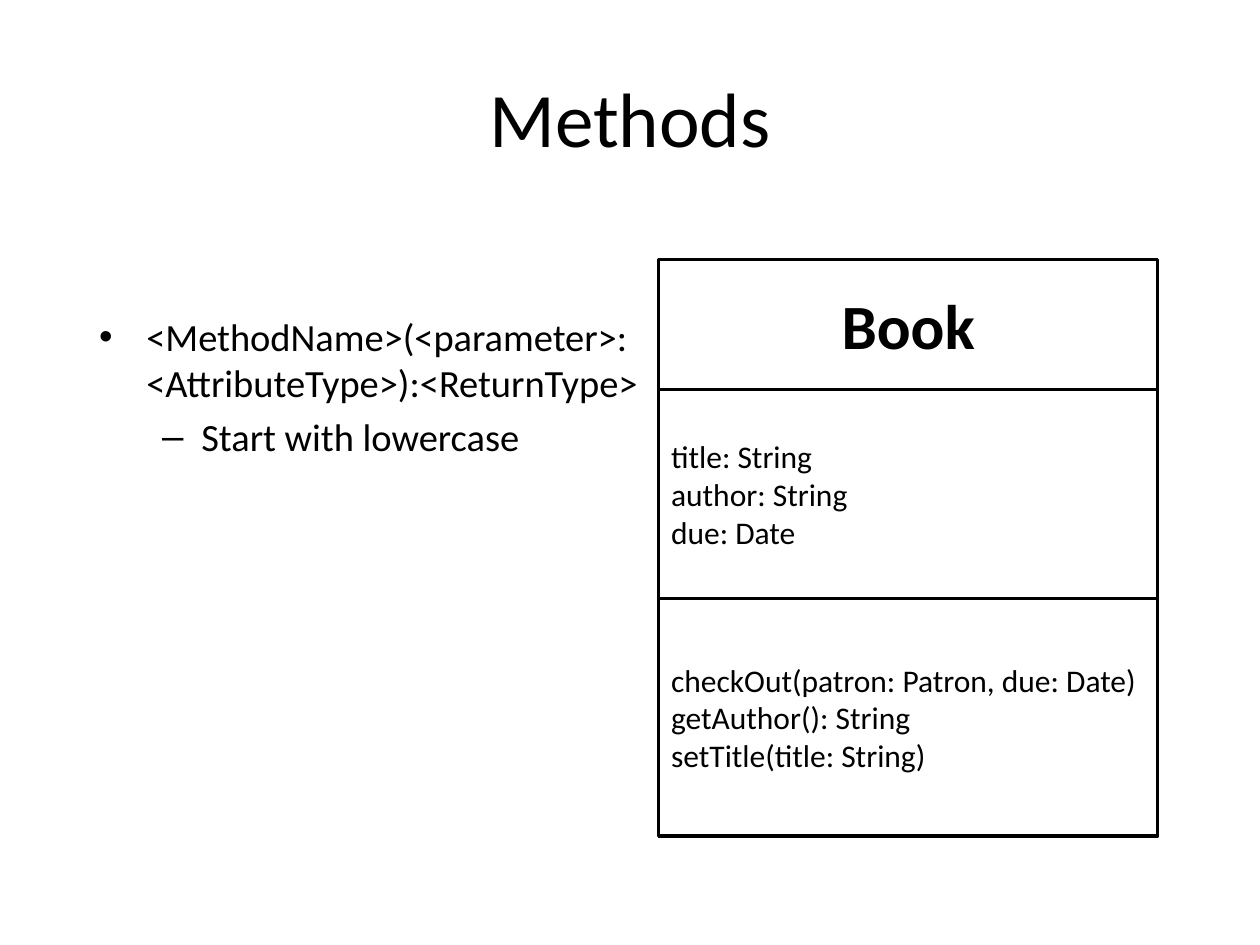
from dataclasses import dataclass

from lxml.etree import SubElement
from pptx import Presentation
from pptx.dml.color import RGBColor
from pptx.enum.shapes import MSO_SHAPE
from pptx.enum.text import MSO_ANCHOR, PP_ALIGN
from pptx.oxml.ns import qn
from pptx.util import Cm, Pt


@dataclass(frozen=True)
class Theme:
    """Colours, font and type sizes of the slide."""
    font: str = "Calibri"
    ink: RGBColor = RGBColor(0, 0, 0)
    paper: RGBColor = RGBColor(255, 255, 255)
    title: int = 44
    class_name: int = 36
    body: int = 22
    member: int = 18
    line: int = 2


THEME = Theme()


def write_text(paragraph, text, *, size, bold=False, align=PP_ALIGN.LEFT):
    """Write one formatted run into a paragraph."""
    paragraph.alignment = align
    run = paragraph.add_run()
    run.text = text
    run.font.name = THEME.font
    run.font.size = Pt(size)
    run.font.bold = bold
    run.font.color.rgb = THEME.ink


def write_lines(frame, lines, **text_format):
    """Write each line as a paragraph and return the paragraphs."""
    for _ in lines[1:]:
        frame.add_paragraph()
    for paragraph, line in zip(frame.paragraphs, lines):
        write_text(paragraph, line, **text_format)
    return frame.paragraphs


def set_bullet(paragraph, character, *, level, margin, hanging):
    """Give a paragraph a bullet with a hanging indent."""
    paragraph.level = level
    properties = paragraph._p.get_or_add_pPr()
    properties.set("marL", str(margin))
    properties.set("indent", str(-hanging))
    SubElement(properties, qn("a:buFont")).set("typeface", "Arial")
    SubElement(properties, qn("a:buChar")).set("char", character)


def add_title(slide, text):
    """Place and fill the title placeholder."""
    title = slide.shapes.title
    title.left, title.top = Cm(1.27), Cm(0.76)
    title.width, title.height = Cm(22.86), Cm(3.18)
    title.text_frame.vertical_anchor = MSO_ANCHOR.MIDDLE
    write_lines(title.text_frame, [text], size=THEME.title, align=PP_ALIGN.CENTER)


def add_syntax_notes(slide):
    """Add the bulleted notes on method syntax."""
    box = slide.shapes.add_textbox(Cm(1.75), Cm(5.08), Cm(11.53), Cm(12.09))
    frame = box.text_frame
    frame.word_wrap = True
    frame.margin_top = Cm(1.23)
    notes = ["<MethodName>(<parameter>: <AttributeType>):<ReturnType>",
             "Start with lowercase"]
    syntax, naming = write_lines(frame, notes, size=THEME.body)
    naming.space_before = Pt(THEME.body * 0.2)
    set_bullet(syntax, "•", level=0, margin=Cm(0.95), hanging=Cm(0.95))
    set_bullet(naming, "–", level=1, margin=Cm(2.06), hanging=Cm(0.79))


def add_compartment(slide, top, height, lines, **text_format):
    """Add one outlined compartment of the class diagram."""
    shape = slide.shapes.add_shape(
        MSO_SHAPE.RECTANGLE, Cm(13.28), top, Cm(10.06), height)
    shape.shadow.inherit = False
    shape.fill.solid()
    shape.fill.fore_color.rgb = THEME.paper
    shape.line.color.rgb = THEME.ink
    shape.line.width = Pt(THEME.line)
    shape.text_frame.word_wrap = True
    shape.text_frame.vertical_anchor = MSO_ANCHOR.MIDDLE
    write_lines(shape.text_frame, lines, **text_format)


def add_class_diagram(slide):
    """Stack the name, attribute and method compartments."""
    name_format = {"size": THEME.class_name, "bold": True, "align": PP_ALIGN.CENTER}
    member_format = {"size": THEME.member}
    attributes = ["title: String", "author: String", "due: Date"]
    methods = ["checkOut(patron: Patron, due: Date)", "getAuthor(): String",
               "setTitle(title: String)"]
    top = Cm(5.23)
    for height, lines, text_format in (
            (Cm(2.62), ["Book"], name_format),
            (Cm(4.22), attributes, member_format),
            (Cm(4.78), methods, member_format)):
        add_compartment(slide, top, height, lines, **text_format)
        top += height


def main():
    """Build and save the slide."""
    presentation = Presentation()
    presentation.slide_width, presentation.slide_height = Cm(25.4), Cm(19.05)
    slide = presentation.slides.add_slide(
        presentation.slide_layouts.get_by_name("Title Only"))
    add_title(slide, "Methods")
    add_syntax_notes(slide)
    add_class_diagram(slide)
    presentation.save("out.pptx")


main()
